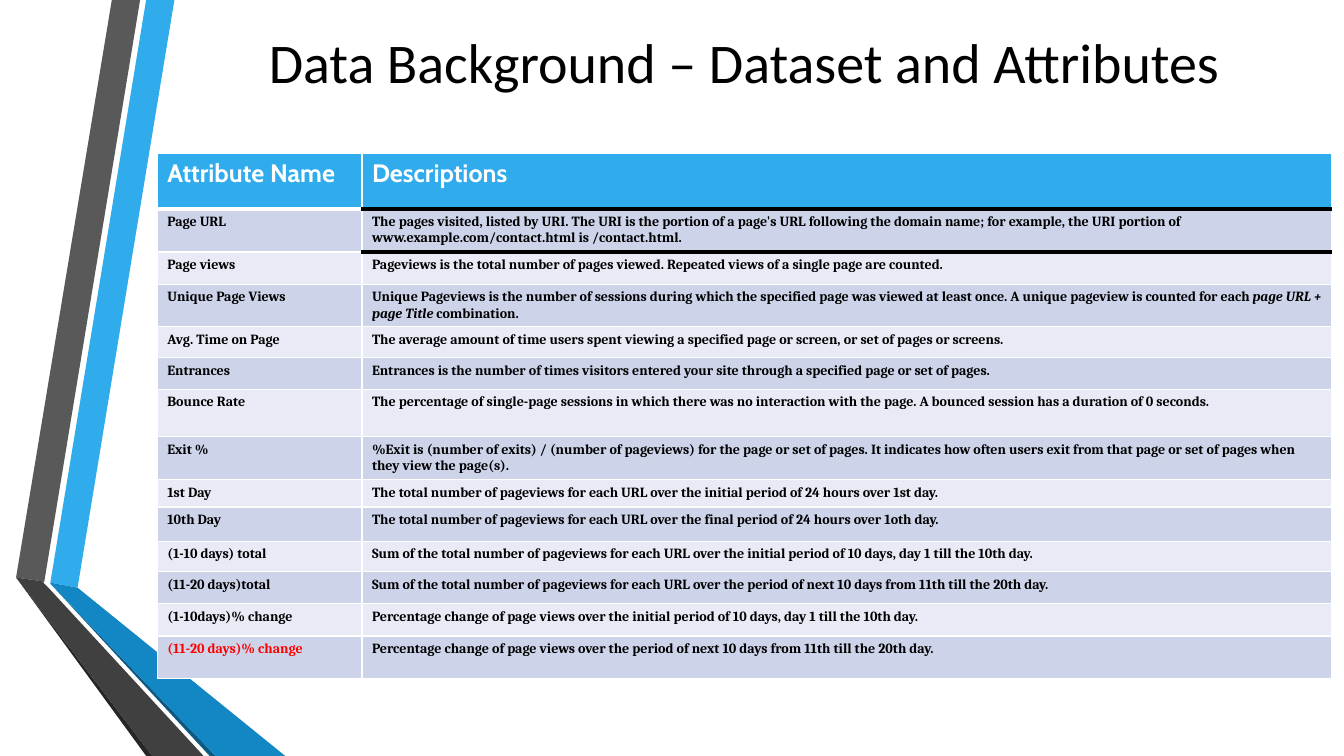
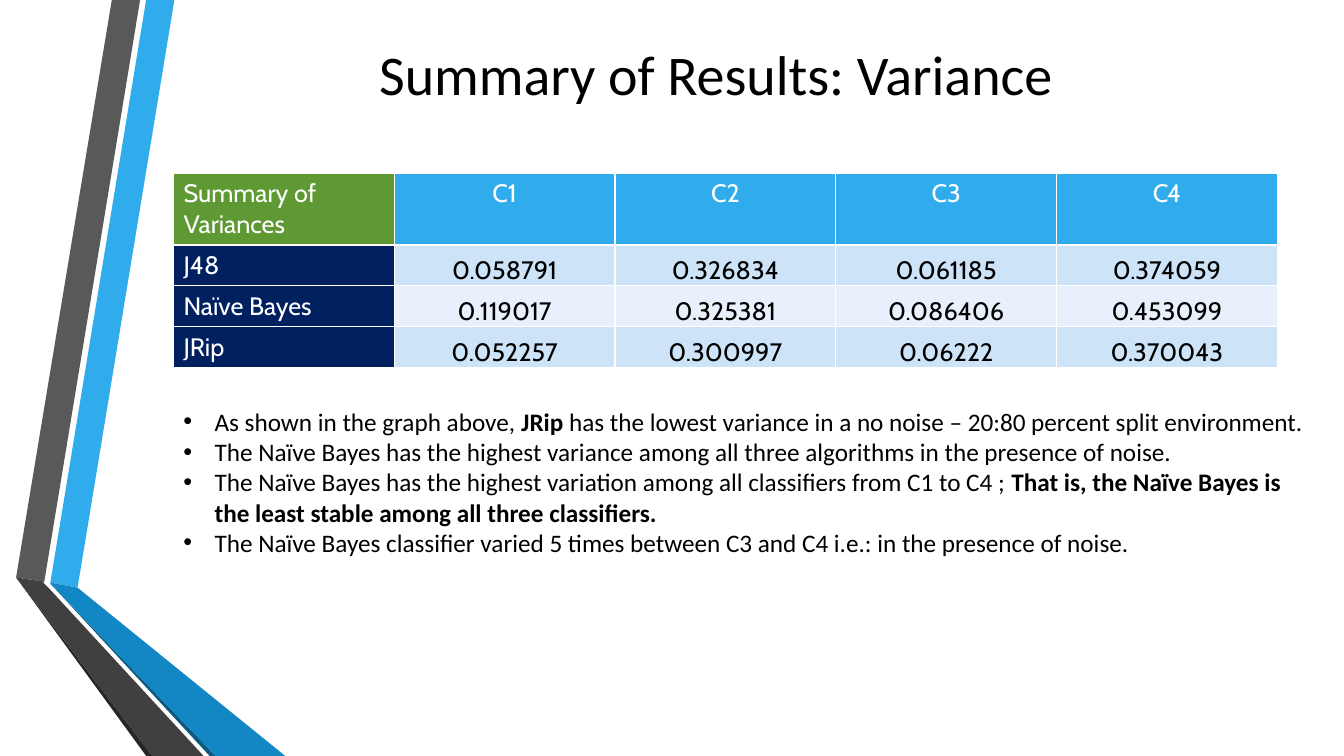
"""Build two slides on web page attributes and classifier variance."""
from dataclasses import dataclass, replace

from lxml.etree import SubElement as Sub
from pptx import Presentation as Deck
from pptx.dml.color import RGBColor as RGB
from pptx.enum.text import MSO_ANCHOR as Anchor, PP_ALIGN as Align
from pptx.oxml.ns import qn
from pptx.util import Inches, Pt


@dataclass(frozen=True)
class Look:
    """Font and alignment of a paragraph."""
    face: str
    size: int
    tint: str
    bold: bool = False
    align: Align = Align.LEFT


@dataclass(frozen=True)
class Theme:
    """Colours and text looks of the deck."""
    black: str = "000000"
    white: str = "FFFFFF"
    red: str = "FF0000"
    blue: str = "30ACEC"
    deep: str = "1287C3"
    dark: str = "0C5A82"
    navy: str = "002060"
    green: str = "5F9934"
    grey: str = "595959"
    coal: str = "404040"
    soot: str = "262626"
    mauve: tuple = ("CDD4EA", "E8EBF5")
    sky: tuple = ("CDE3F8", "E8F1FB")
    title: Look = Look("Calibri", 40, black, align=Align.CENTER)
    body: Look = Look("Calibri", 18, black)
    head: Look = Look("Cabin", 18, white)
    small: Look = Look("Cambria", 10, black, bold=True)


T = Theme()

BANDS = [
    (T.blue, [(0.5, 5.78), (0.77, 5.83), (1.73, 0), (1.45, 0)]),
    (T.grey, [(1.39, 0), (1.11, 0), (0.16, 5.73), (0.44, 5.77)]),
    (T.soot, [(0.16, 5.73), (1.45, 7.5), (1.51, 7.5)]),
    (T.dark, [(0.5, 5.79), (2.08, 7.5), (2.14, 7.5)]),
    (T.deep, [(0.5, 5.79), (2.14, 7.5), (2.83, 7.5), (0.77, 5.83), (0.5, 5.78)]),
    (T.coal, [(2.02, 7.5), (0.48, 5.83), (0.43, 5.78), (0.44, 5.77),
              (0.16, 5.73), (1.51, 7.5)]),
]

FIELDS = [
    (0.55, "Attribute Name", "Descriptions"),
    (0.43, "Page URL", "The pages visited, listed by URI. The URI is the portion of a page's URL following the domain name; for example, the URI portion of www.example.com/contact.html is /contact.html."),
    (0.32, "Page views", "Pageviews is the total number of pages viewed. Repeated views of a single page are counted."),
    (0.42, "Unique Page Views", "Unique Pageviews is the number of sessions during which the specified page was viewed at least once. A unique pageview is counted for each *page URL + page Title* combination."),
    (0.31, "Avg. Time on Page", "The average amount of time users spent viewing a specified page or screen, or set of pages or screens."),
    (0.31, "Entrances", "Entrances is the number of times visitors entered your site through a specified page or set of pages."),
    (0.47, "Bounce Rate", "The percentage of single-page sessions in which there was no interaction with the page. A bounced session has a duration of 0 seconds."),
    (0.43, "Exit %", "%Exit is (number of exits) / (number of pageviews) for the page or set of pages. It indicates how often users exit from that page or set of pages when they view the page(s)."),
    (0.27, "1st Day", "The total number of pageviews for each URL over the initial period of 24 hours over 1st day."),
    (0.34, "10th Day", "The total number of pageviews for each URL over the final period of 24 hours over 1oth day."),
    (0.3, "(1-10 days) total", "Sum of the total number of pageviews for each URL over the initial period of 10 days, day 1 till the 10th day."),
    (0.32, "(11-20 days)total", "Sum of the total number of pageviews for each URL over the period of next 10 days from 11th till the 20th day."),
    (0.32, "(1-10days)% change", "Percentage change of page views over the initial period of 10 days, day 1 till the 10th day."),
    (0.42, "(11-20 days)% change", "Percentage change of page views over the period of next 10 days from 11th till the 20th day."),
]

SCORES = [
    ("Summary of Variances", "C1", "C2", "C3", "C4"),
    ("J48", "0.058791", "0.326834", "0.061185", "0.374059"),
    ("Naïve Bayes", "0.119017", "0.325381", "0.086406", "0.453099"),
    ("JRip", "0.052257", "0.300997", "0.06222", "0.370043"),
]

POINTS = [
    "As shown in the graph above, *JRip* has the lowest variance in a no noise – 20:80 percent split environment.",
    "The Naïve Bayes has the highest variance among all three algorithms in the presence of noise.",
    "The Naïve Bayes has the highest variation among all classifiers from C1 to C4 ; *That is, the Naïve Bayes is the least stable among all three classifiers.*",
    "The Naïve Bayes classifier varied 5 times between C3 and C4 i.e.: in the presence of noise.",
]


def write(para, text, look, mark="bold"):
    """Write a paragraph, giving the parts between stars the marked style."""
    para.alignment = look.align
    font = para.font
    font.name, font.size, font.bold = look.face, Pt(look.size), look.bold
    font.color.rgb = RGB.from_string(look.tint)
    for i, part in enumerate(text.split("*")):
        if part:
            run = para.add_run()
            run.text = part
            if i % 2:
                setattr(run.font, mark, True)


def paint(thing, tint):
    """Give a shape or cell a solid fill."""
    thing.fill.solid()
    thing.fill.fore_color.rgb = RGB.from_string(tint)


def add_bands(slide, layout):
    """Draw the folded bands and move them to the back of the layout."""
    for i, (tint, spots) in enumerate(BANDS):
        first, *rest = [(Inches(x), Inches(y)) for x, y in spots]
        pen = slide.shapes.build_freeform(*first)
        pen.add_line_segments(rest, close=True)
        band = pen.convert_to_shape()
        band.shadow.inherit = False
        paint(band, tint)
        band.line.fill.background()
        band.element.nvSpPr.cNvPr.set("id", str(100 + i))
        layout.shapes.element.insert(2 + i, band.element)


def add_title(slide, text, left, top, height, space):
    """Place and write the title."""
    box = slide.shapes.title
    box.left, box.top = Inches(left), Inches(top)
    box.width, box.height = Inches(10.96), Inches(height)
    box.text_frame.vertical_anchor = Anchor.MIDDLE
    para = box.text_frame.paragraphs[0]
    para.line_spacing = space
    write(para, text, T.title)


def set_edge(cell, side, tint, width):
    """Set one border of a cell, keeping the borders in schema order."""
    props = cell._tc.get_or_add_tcPr()
    tag = qn(f"a:ln{side}")
    line = props.find(tag)
    if line is None:
        line = Sub(props, tag)
        Sub(Sub(line, qn("a:solidFill")), qn("a:srgbClr"))
    line.set("w", str(Pt(width)))
    line.find(".//" + qn("a:srgbClr")).set("val", tint)


def add_rule(grid, row, col, tint):
    """Draw a heavy line between a cell and the one above it."""
    set_edge(grid.cell(row - 1, col), "B", tint, 3)
    set_edge(grid.cell(row, col), "T", tint, 3)


def add_grid(slide, left, top, cols, rows):
    """Add a table with thin white borders and the given sizes."""
    grid = slide.shapes.add_table(
        len(rows), len(cols), Inches(left), Inches(top),
        Inches(sum(cols)), Inches(sum(rows))).table
    grid.horz_banding = False
    for col, width in zip(grid.columns, cols):
        col.width = Inches(width)
    for row, height in zip(grid.rows, rows):
        row.height = Inches(height)
    for cell in grid.iter_cells():
        for side in "LRTB":
            set_edge(cell, side, T.white, 1)
    return grid


def fill_cell(cell, text, back, look):
    """Fill and write a cell, with starred parts in italics."""
    paint(cell, back)
    write(cell.text_frame.paragraphs[0], text, look, "italic")


def add_fields(slide):
    """Add the table of attributes."""
    heights, *texts = zip(*FIELDS)
    grid = add_grid(slide, 1.56, 1.52, (2.03, 9.62), heights)
    last = len(heights) - 1
    for c, column in enumerate(texts):
        for r, text in enumerate(column):
            back, look = T.mauve[(r - 1) % 2], T.small
            if r == 0:
                back, look = T.blue, replace(T.head, bold=True)
            elif (r, c) == (last, 0):
                look = replace(T.small, tint=T.red)
            fill_cell(grid.cell(r, c), text, back, look)
    add_rule(grid, 1, 0, T.white)
    add_rule(grid, 1, 1, T.black)
    add_rule(grid, 2, 1, T.black)


def add_scores(slide):
    """Add the table of variances."""
    grid = add_grid(slide, 1.72, 1.72, [2.19] * 5, [0.7] + [0.4] * 3)
    label = replace(T.head, align=Align.CENTER)
    value = replace(label, tint=T.black)
    for r, (name, *values) in enumerate(SCORES):
        fill_cell(grid.cell(r, 0), name, T.navy if r else T.green, T.head)
        for c, text in enumerate(values, 1):
            cell = grid.cell(r, c)
            if r == 0:
                fill_cell(cell, text, T.blue, label)
                continue
            fill_cell(cell, text, T.sky[(r - 1) % 2], value)
            cell.vertical_anchor = Anchor.BOTTOM
            cell.margin_left = cell.margin_right = Inches(0.01)
            cell.margin_top, cell.margin_bottom = Inches(0.01), 0


def add_points(slide, left, top, width, height):
    """Add the bulleted findings."""
    frame = slide.shapes.add_textbox(
        Inches(left), Inches(top), Inches(width), Inches(height)).text_frame
    frame.word_wrap = True
    for i, text in enumerate(POINTS):
        para = frame.add_paragraph() if i else frame.paragraphs[0]
        props = para._p.get_or_add_pPr()
        props.set("marL", str(Inches(0.31)))
        props.set("indent", str(-Inches(0.31)))
        Sub(props, qn("a:buFont"), typeface="Arial")
        Sub(props, qn("a:buChar"), char="•")
        write(para, text, T.body)


def main():
    """Build and save the deck."""
    deck = Deck()
    deck.slide_width, deck.slide_height = Inches(13.33), Inches(7.5)
    layout = deck.slide_layouts[5]
    data, result = [deck.slides.add_slide(layout) for _ in range(2)]
    add_bands(data, layout)
    add_title(data, "Data Background – Dataset and Attributes", 1.9, 0, 1.3, 0.9)
    add_fields(data)
    add_title(result, "Summary of Results: Variance", 1.62, 0.09, 1.27, 1.0)
    add_scores(result)
    add_points(result, 1.72, 3.98, 11.4, 1.92)
    deck.save("out.pptx")


if __name__ == "__main__":
    main()
